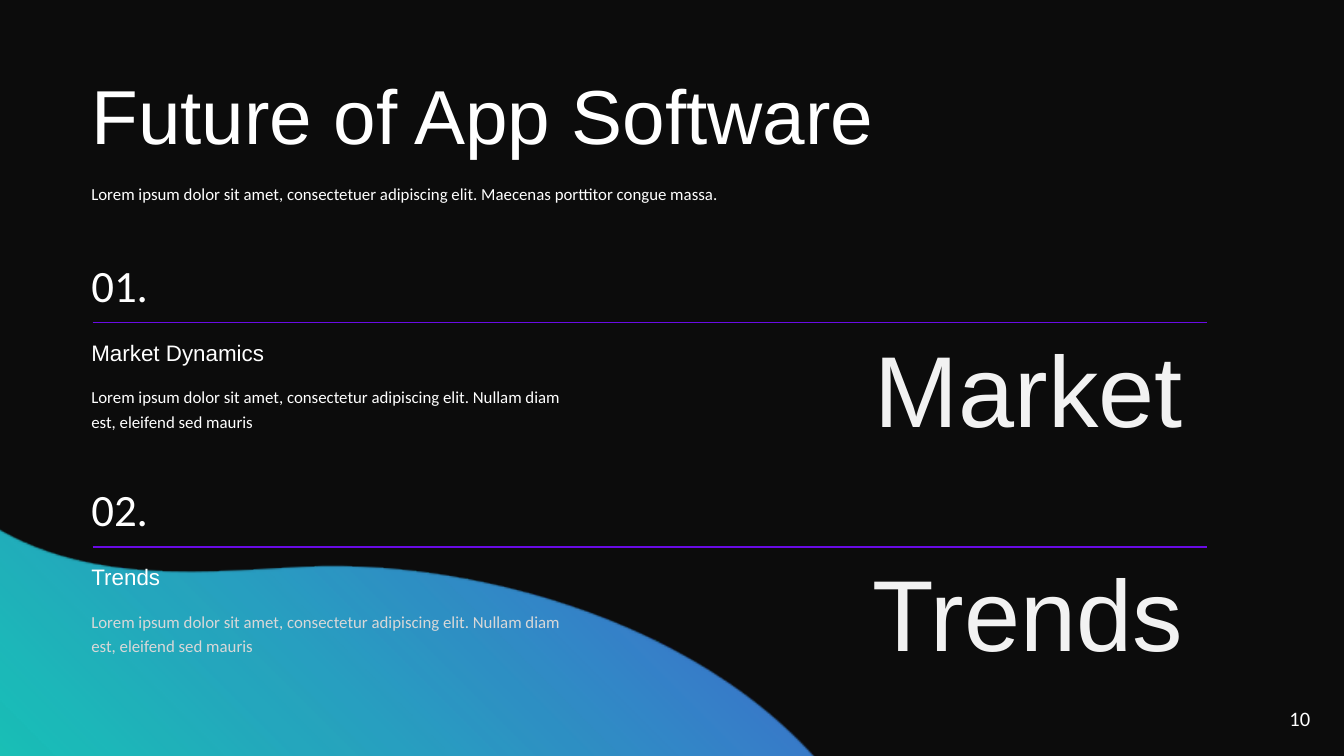
from dataclasses import dataclass
from math import cos, radians, sin

from pptx import Presentation
from pptx.dml.color import RGBColor
from pptx.enum.shapes import MSO_CONNECTOR
from pptx.enum.text import MSO_ANCHOR, MSO_AUTO_SIZE, PP_ALIGN
from pptx.oxml import parse_xml
from pptx.oxml.ns import nsdecls, qn
from pptx.oxml.xmlchemy import OxmlElement
from pptx.util import Inches, Pt


@dataclass(frozen=True)
class Theme:
    """Colours, fonts and type sizes of the slide."""

    night: str = "0C0C0C"
    white: str = "FFFFFF"
    pale: str = "F2F2F2"
    grey: str = "D8D8D8"
    violet: str = "690BE5"
    teal: str = "12F2CD"
    heading: str = "Arial"
    body: str = "Calibri"
    title_size: float = 41
    keyword_size: float = 54
    number_size: float = 24
    subtitle_size: float = 12
    page_size: float = 11
    body_size: float = 9


THEME = Theme()
BLURB = ("Lorem ipsum dolor sit amet, consectetur adipiscing elit. "
         "Nullam diam est, eleifend sed mauris")
SECTIONS = [
    ("01.", "Market Dynamics", "Market", THEME.white),
    ("02.", "Trends", "Trends", THEME.grey),
]
WAVE_START = (2.27, 4.22)
WAVE_CURVES = [
    ((1.45, 4.26), (0.33, 4.41), (-0.45, 3.59)),
    ((-1.01, 2.99), (-1.64, 2.08), (-2.17, 2.93)),
    ((-2.52, 3.46), (-2.43, 4.34), (-2.28, 5.03)),
    ((-1.83, 6.96), (-0.1, 8.72), (1.8, 9.48)),
    ((3.65, 10.23), (5.94, 10.2), (6.63, 8.55)),
    ((6.88, 7.97), (6.9, 7.19), (6.6, 6.47)),
    ((5.9, 4.79), (3.7, 4.15), WAVE_START),
]


def add_text(slide, box, text, size, font=THEME.body, color=THEME.white,
             align=PP_ALIGN.LEFT, spacing=None, middle=False):
    """Place one styled line or paragraph in a box given in inches."""
    frame = slide.shapes.add_textbox(*map(Inches, box)).text_frame
    frame.word_wrap = True
    frame.auto_size = MSO_AUTO_SIZE.NONE if middle else MSO_AUTO_SIZE.SHAPE_TO_FIT_TEXT
    frame.vertical_anchor = MSO_ANCHOR.MIDDLE if middle else MSO_ANCHOR.TOP
    frame.margin_left = frame.margin_right = Inches(0.08)
    frame.margin_top = frame.margin_bottom = Inches(0.04)
    paragraph = frame.paragraphs[0]
    paragraph.alignment = align
    paragraph.line_spacing = spacing
    run = paragraph.add_run()
    run.text = text
    run.font.size = Pt(size)
    run.font.name = font
    run.font.color.rgb = RGBColor.from_string(color)


def add_rule(slide, left, top, width):
    """Draw a thin violet horizontal line."""
    rule = slide.shapes.add_connector(
        MSO_CONNECTOR.STRAIGHT, Inches(left), Inches(top),
        Inches(left + width), Inches(top))
    rule.line.color.rgb = RGBColor.from_string(THEME.violet)
    rule.line.width = Pt(1)
    rule._element.spPr.append(OxmlElement("a:effectLst"))


def outline_step(tag, points, box, tilt):
    """Return one outline command with its points turned back into the box."""
    left, top, width, height = box
    angle = radians(-tilt)
    step = OxmlElement(tag)
    for x, y in points:
        dx, dy = x - left - width / 2, y - top - height / 2
        spot = OxmlElement("a:pt")
        spot.set("x", str(Inches(width / 2 + dx * cos(angle) - dy * sin(angle))))
        spot.set("y", str(Inches(height / 2 + dx * sin(angle) + dy * cos(angle))))
        step.append(spot)
    return step


def add_wave(slide, box, tilt):
    """Draw the tilted gradient wave in its box."""
    left, top, width, height = map(Inches, box)
    right, bottom = left + width, top + height
    builder = slide.shapes.build_freeform(left, top)
    builder.add_line_segments([(right, top), (right, bottom), (left, bottom)])
    wave = builder.convert_to_shape()
    properties = wave._element.spPr
    outline = next(properties.iter(qn("a:path")))
    for corner in list(outline):
        outline.remove(corner)
    outline.append(outline_step("a:moveTo", [WAVE_START], box, tilt))
    for curve in WAVE_CURVES:
        outline.append(outline_step("a:cubicBezTo", curve, box, tilt))
    outline.append(OxmlElement("a:close"))

    wave.rotation = tilt
    wave.shadow.inherit = False
    wave.line.fill.background()
    wave.fill.gradient()
    teal = f'<a:srgbClr val="{THEME.teal}"><a:alpha val="85000"/></a:srgbClr>'
    radial = parse_xml(
        f'<a:gradFill {nsdecls("a")} rotWithShape="1"><a:gsLst>'
        f'<a:gs pos="0"><a:srgbClr val="{THEME.violet}"/></a:gs>'
        f'<a:gs pos="63000">{teal}</a:gs><a:gs pos="100000">{teal}</a:gs>'
        '</a:gsLst><a:path path="circle">'
        '<a:fillToRect l="100000" b="100000"/></a:path></a:gradFill>')
    properties.replace(properties.find(qn("a:gradFill")), radial)


def add_header(slide, left, top, width):
    """Place the title and its introduction."""
    add_text(slide, (left, top, width, 0.71), "Future of App Software",
             THEME.title_size, THEME.heading, spacing=0.9)
    add_text(slide, (left, top + 0.76, 5.57, 0.25),
             "Lorem ipsum dolor sit amet, consectetuer adipiscing elit. "
             "Maecenas porttitor congue massa.", THEME.body_size, spacing=1.2)


def add_section(slide, left, top, width, section):
    """Place a numbered section with its rule, texts and large keyword."""
    number, subtitle, keyword, blurb_color = section
    rule_top = top + 0.41
    add_text(slide, (left + width - 6.5, rule_top - 0.01, 6.5, 0.98), keyword,
             THEME.keyword_size, THEME.heading, THEME.pale, PP_ALIGN.RIGHT)
    add_text(slide, (left, rule_top + 0.08, 2.18, 0.28), subtitle,
             THEME.subtitle_size, THEME.heading)
    add_text(slide, (left, rule_top + 0.41, 3.67, 0.43), BLURB,
             THEME.body_size, color=blurb_color, spacing=1.2)
    add_text(slide, (left, top, 1.56, 0.25), number, THEME.number_size, middle=True)
    add_rule(slide, left + 0.09, rule_top, width + 0.01)


def main():
    """Build and save the slide."""
    deck = Presentation()
    deck.slide_width = Inches(10)
    deck.slide_height = Inches(10) * 9 // 16
    slide = deck.slides.add_slide(deck.slide_layouts[6])
    backdrop = slide.background.fill
    backdrop.solid()
    backdrop.fore_color.rgb = RGBColor.from_string(THEME.night)

    add_text(slide, (9.37, 5.21, 0.46, 0.25), "10", THEME.page_size,
             align=PP_ALIGN.RIGHT)
    add_wave(slide, (-3.35, 2.61, 11.09, 6.97), 43.3)
    add_header(slide, 0.6, 0.54, 8.94)
    for index, section in enumerate(SECTIONS):
        add_section(slide, 0.6, 1.99 + index * 1.67, 8.28, section)
    deck.save("out.pptx")


if __name__ == "__main__":
    main()
